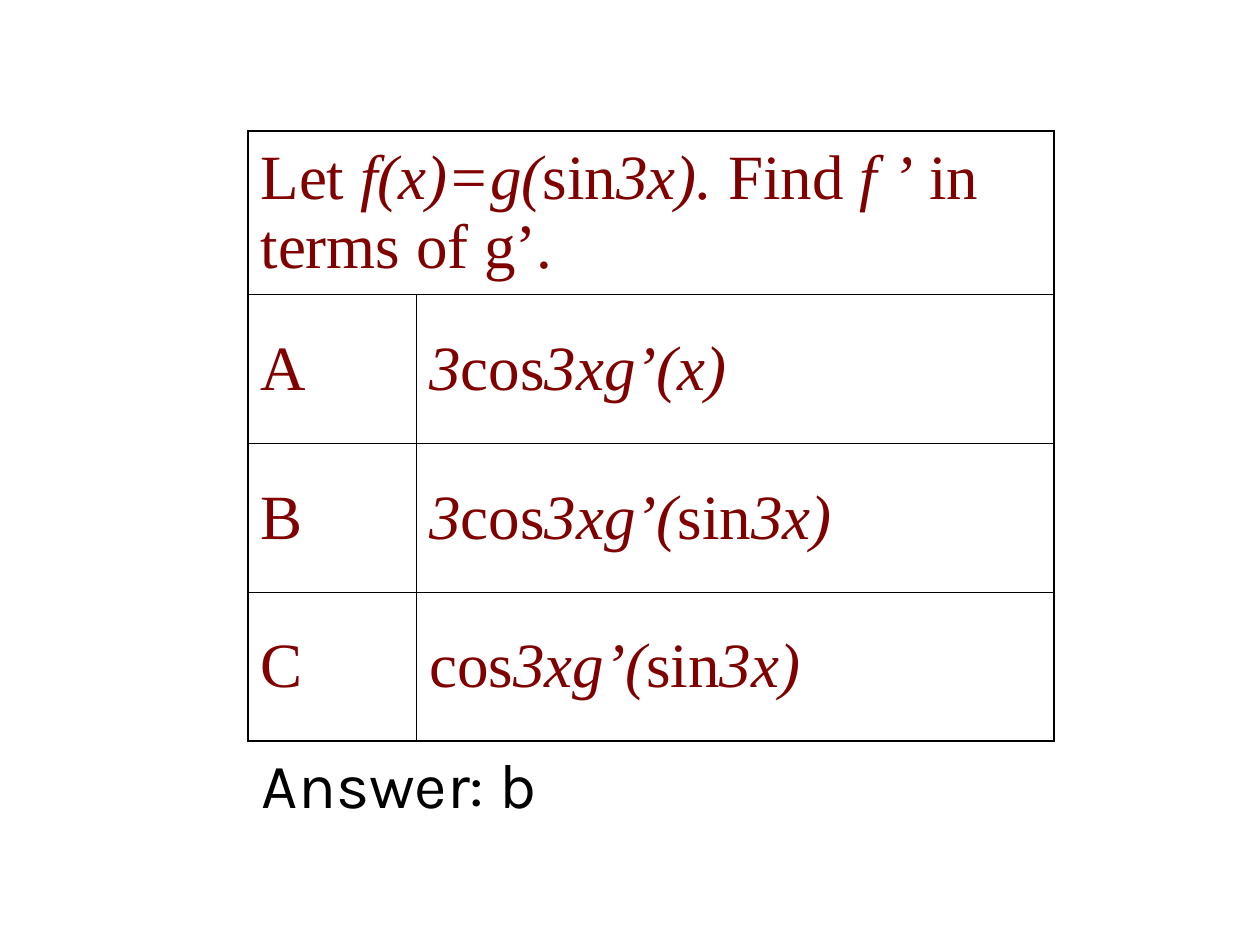
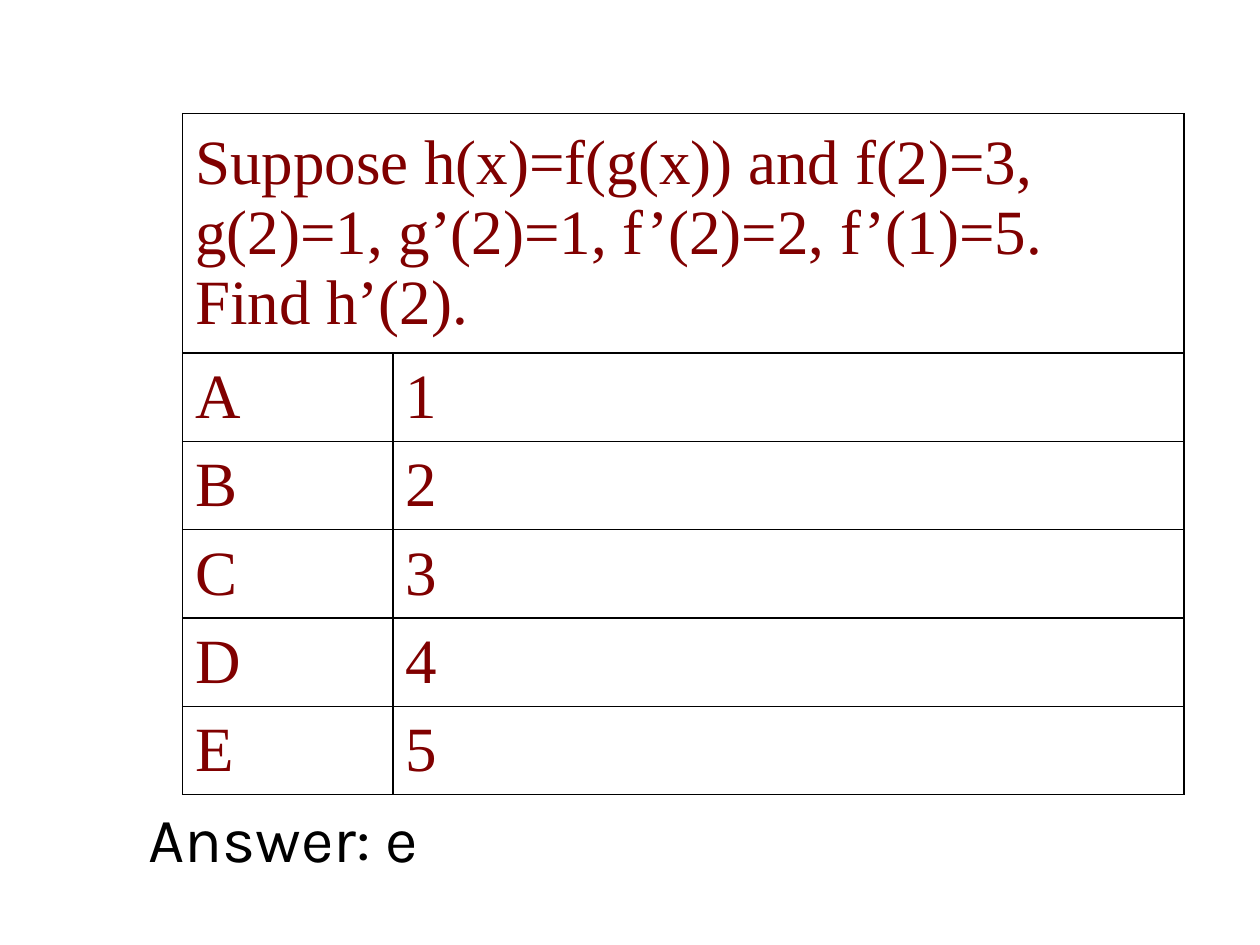
from lxml import etree
from pptx import Presentation
from pptx import util as u
from pptx.dml.color import RGBColor
from pptx.enum import shapes, text
from pptx.oxml.ns import qn

COLORS = {"paper": "FFFFFF", "question": "800000", "answer": "000000", "rule": "000000"}
QUESTION_FONT = "Times New Roman"
ANSWER_FONT = "Karla"
TEXT_SIZE = 36
BLANK_LAYOUT = 6


def color(name):
    return RGBColor.from_string(COLORS[name])


def write(frame, content, *, font, ink, size=TEXT_SIZE):
    """Fill a text frame: newlines part paragraphs, asterisks enclose italics."""
    for number, line in enumerate(content.split("\n")):
        para = frame.add_paragraph() if number else frame.paragraphs[0]
        para.alignment = text.PP_ALIGN.LEFT
        for index, piece in enumerate(line.split("*")):
            if not piece:
                continue
            span = para.add_run()
            span.text = piece
            span.font.name = font
            span.font.size = u.Pt(size)
            span.font.italic = index % 2 == 1
            span.font.color.rgb = color(ink)


def add_panel(page):
    panel = page.shapes.add_shape(
        shapes.MSO_SHAPE.ROUNDED_RECTANGLE,
        u.Cm(0.25), u.Cm(0.28), u.Cm(24.89), u.Cm(18.52))
    panel.adjustments[0] = 0.02
    panel.shadow.inherit = False
    panel.fill.solid()
    panel.fill.fore_color.rgb = color("paper")
    panel.line.fill.background()


def add_borders(cell, width=1):
    properties = cell._tc.get_or_add_tcPr()
    for side in ("a:lnL", "a:lnR", "a:lnT", "a:lnB"):
        line = etree.SubElement(properties, qn(side), w=str(u.Pt(width)))
        fill = etree.SubElement(line, qn("a:solidFill"))
        etree.SubElement(fill, qn("a:srgbClr"), val=COLORS["rule"])


def style_cell(cell):
    add_borders(cell)
    cell.fill.background()
    cell.vertical_anchor = text.MSO_ANCHOR.MIDDLE


def add_question(page, question, choices, *, left, top, widths, question_height, choice_height):
    """Add a table with the question across the top and one lettered row per choice."""
    heights = [question_height] + [choice_height] * len(choices)
    table = page.shapes.add_table(
        len(heights), len(widths), u.Cm(left), u.Cm(top),
        u.Cm(sum(widths)), u.Cm(sum(heights))).table
    table.first_row = table.horz_banding = False
    for column, width in zip(table.columns, widths):
        column.width = u.Cm(width)
    for row, height in zip(table.rows, heights):
        row.height = u.Cm(height)
    for cell in table.iter_cells():
        style_cell(cell)

    table.cell(0, 0).merge(table.cell(0, 1))
    entries = [(0, 0, question)]
    for row, (letter, choice) in enumerate(zip("ABCDE", choices), start=1):
        entries += [(row, 0, letter), (row, 1, choice)]
    for row, column, content in entries:
        write(table.cell(row, column).text_frame, content, font=QUESTION_FONT, ink="question")


def add_answer(page, letter, *, left, top):
    box = page.shapes.add_textbox(u.Cm(left), u.Cm(top), u.Cm(6.16), u.Cm(1.78))
    box.text_frame.word_wrap = False
    box.text_frame.auto_size = text.MSO_AUTO_SIZE.SHAPE_TO_FIT_TEXT
    write(box.text_frame, f"Answer: {letter}", font=ANSWER_FONT, ink="answer")


def add_page(deck):
    page = deck.slides.add_slide(deck.slide_layouts[BLANK_LAYOUT])
    page.background.fill.solid()
    page.background.fill.fore_color.rgb = color("paper")
    add_panel(page)
    return page


def main():
    deck = Presentation()
    deck.slide_width, deck.slide_height = u.Cm(25.4), u.Cm(19.05)

    page = add_page(deck)
    add_question(
        page,
        "Let *f(x)=g(*sin*3x). *Find *f ’* in terms of g’.",
        ["*3*cos*3xg’(x)*", "*3*cos*3xg’(*sin*3x)*", "cos*3xg’(*sin*3x)*"],
        left=5, top=2.64, widths=[3.4, 12.85], question_height=3.3, choice_height=3)
    add_answer(page, "b", left=5.03, top=14.91)

    page = add_page(deck)
    add_question(
        page,
        "Suppose h(x)=f(g(x)) and f(2)=3, g(2)=1, g’(2)=1, f’(2)=2, f’(1)=5.\nFind h’(2).",
        ["1", "2", "3", "4", "5"],
        left=3.68, top=2.29, widths=[4.24, 15.95], question_height=4.82, choice_height=1.78)
    add_answer(page, "e", left=2.74, top=16)

    deck.save("out.pptx")


if __name__ == "__main__":
    main()
